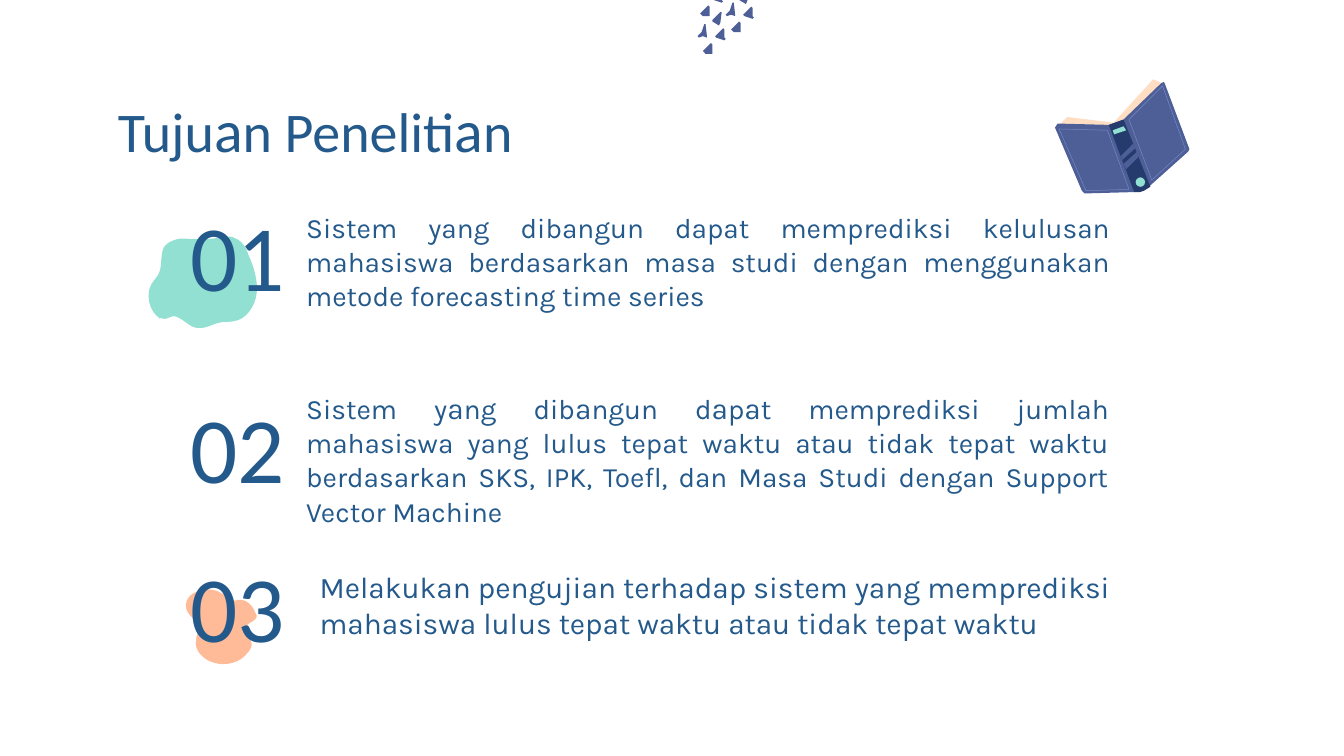
import pptx
import pptx.util
import pptx.dml.color
import pptx.enum.shapes
import pptx.enum.text

COLOURS = {"text": "24598B", "indigo": "4E5F97", "navy": "253B6E", "stitch": "758AC6",
           "mint": "91E0D2", "peach": "FFBB98", "paper": "FFDEC4"}
ALIGN = pptx.enum.text.PP_ALIGN
ANCHOR = pptx.enum.text.MSO_ANCHOR

# Content: runs are (text, size); boxes are left, top, width, height in inches
TITLE = [("Tuju", 30), ("a", 32), ("n Peneliti", 30), ("a", 32), ("n", 30)]
GOALS = [
    ("01", 1.37, (2.18, 1.47, 6.18, 0.94),
     [("Sistem yang dibangun dapat memprediksi kelulusan mahasiswa berdasarkan masa studi "
       "dengan menggunakan metode forecasting time series", 15)]),
    ("02", 2.8, (2.18, 2.8, 6.17, 0.94),
     [("Sistem y", 15), ("a", 16), ("ng dib", 15), ("a", 16), ("ngun d", 15), ("a", 16),
      ("p", 15), ("a", 16),
      ("t memprediksi jumlah mahasiswa yang lulus tepat waktu atau tidak tepat waktu "
       "berdasarkan SKS, IPK, Toefl, dan Masa Studi dengan Support Vector Machine ", 15),
      (" ", 16)]),
    ("03", 3.98, (2.28, 4.13, 6.08, 0.71),
     [("Melakukan pengujian terhadap sistem yang memprediksi mahasiswa lulus tepat waktu "
       "atau tidak tepat waktu", 16)]),
]

# Confetti: each outline with the places where it occurs
CONFETTI = [
    ([(0.07, 0.09), (0.06, 0), (0.05, 0), (0.03, 0.06), (0, 0.09), (0.01, 0.1),
      (0.04, 0.09), (0.07, 0.1)], [(5.19, 0.18), (5.4, 0.02)]),
    ([(0.07, 0.07), (0.07, 0.01), (0.06, 0), (0, 0.06), (0.01, 0.07), (0.07, 0.09),
      (0.08, 0.08)], [(5.32, 0.21), (5.53, 0.05), (5.3, -0.07)]),
    ([(0.07, 0.07), (0.07, 0.01), (0.06, 0), (0.05, 0.01), (0.02, 0.04), (0, 0.06),
      (0.02, 0.08), (0.06, 0.08), (0.07, 0.08)], [(5.23, 0.32), (5.44, 0.16), (5.21, 0.04)]),
    ([(0, 0.07), (0.05, 0.1), (0.06, 0.08), (0.07, 0), (0.06, 0), (0, 0.06)],
     [(5.3, 0.09), (5.5, -0.07)]),
]

# Book: fill, line, outline, from back to front
BOOK = [
    ("paper", None, [(8.28, 0.92), (8.58, 0.59), (8.65, 0.62), (8.38, 0.92)]),
    ("paper", None, [(8.35, 0.92), (7.94, 0.87), (7.87, 0.94), (8.31, 0.96)]),
    ("indigo", None, [(8.64, 0.62), (8.36, 0.89), (8.25, 0.93), (7.87, 0.92), (7.85, 0.95),
                      (8.05, 1.42), (8.07, 1.44), (8.44, 1.43), (8.51, 1.42), (8.56, 1.38),
                      (8.84, 1.13), (8.85, 1.11), (8.67, 0.63), (8.66, 0.61)]),
    (None, "stitch", [(8.08, 1.42), (8.4, 1.41), (8.24, 0.97), (7.88, 0.96)]),
    ("navy", None, [(8.36, 0.89), (8.25, 0.93), (8.44, 1.43), (8.48, 1.43), (8.51, 1.42),
                    (8.56, 1.39)]),
    ("mint", None, [(8.28, 0.97), (8.36, 0.94), (8.38, 0.97), (8.29, 1.0)]),
    ("indigo", None, [(8.35, 1.19), (8.45, 1.1), (8.43, 1.07), (8.34, 1.16)]),
    ("indigo", None, [(8.38, 1.26), (8.47, 1.17), (8.46, 1.13), (8.36, 1.22)]),
    (None, "stitch", [(8.57, 1.34), (8.82, 1.11), (8.65, 0.64), (8.4, 0.89)]),
]
BOOK_DOT = (8.45, 1.32, 0.07, 0.07)

# Blobs: a start, then cubic curves as two controls and an end
BLOBS = [
    ("mint", (1.19, 2.37), [
        (1.11, 2.32, 1.08, 2.19, 1.13, 2.11), (1.15, 2.08, 1.17, 2.06, 1.18, 2.04),
        (1.21, 1.98, 1.19, 1.9, 1.22, 1.84), (1.24, 1.81, 1.28, 1.79, 1.32, 1.78),
        (1.36, 1.77, 1.4, 1.78, 1.44, 1.78), (1.5, 1.78, 1.57, 1.78, 1.63, 1.77),
        (1.67, 1.77, 1.71, 1.75, 1.74, 1.77), (1.8, 1.79, 1.83, 1.84, 1.85, 1.9),
        (1.89, 1.99, 1.92, 2.09, 1.91, 2.18), (1.9, 2.28, 1.83, 2.38, 1.74, 2.39),
        (1.71, 2.4, 1.68, 2.39, 1.64, 2.4), (1.58, 2.41, 1.53, 2.45, 1.47, 2.44),
        (1.43, 2.44, 1.4, 2.41, 1.37, 2.39), (1.34, 2.37, 1.3, 2.34, 1.27, 2.36),
        (1.26, 2.36, 1.25, 2.37, 1.24, 2.37), (1.22, 2.38, 1.19, 2.36, 1.18, 2.37)]),
    ("peach", (1.87, 4.78), [
        (1.86, 4.73, 1.81, 4.69, 1.84, 4.65), (1.86, 4.63, 1.9, 4.62, 1.91, 4.59),
        (1.91, 4.58, 1.91, 4.57, 1.9, 4.56), (1.89, 4.53, 1.87, 4.5, 1.84, 4.48),
        (1.81, 4.46, 1.78, 4.46, 1.75, 4.47), (1.7, 4.45, 1.67, 4.42, 1.62, 4.4),
        (1.57, 4.38, 1.5, 4.38, 1.45, 4.41), (1.4, 4.43, 1.37, 4.49, 1.39, 4.54),
        (1.41, 4.59, 1.47, 4.62, 1.48, 4.67), (1.48, 4.7, 1.46, 4.73, 1.46, 4.76),
        (1.44, 4.83, 1.51, 4.91, 1.59, 4.93), (1.68, 4.96, 1.79, 4.93, 1.84, 4.86),
        (1.86, 4.84, 1.88, 4.81, 1.87, 4.78)]),
]


def length(inches):
    return pptx.util.Cm(round(inches * 2.54, 4))


def colour(name):
    return pptx.dml.color.RGBColor.from_string(COLOURS[name])


def smooth(start, curves, steps=8):
    """Points along a chain of cubic curves."""
    points = [start]
    for ax, ay, bx, by, cx, cy in curves:
        first = points[-1]
        for step in range(1, steps + 1):
            t = step / steps
            u = 1 - t
            points.append(tuple(
                u ** 3 * p + 3 * u * u * t * a + 3 * u * t * t * b + t ** 3 * c
                for p, a, b, c in zip(first, (ax, ay), (bx, by), (cx, cy))))
    return points


def paint(shape, fill, line=None):
    shape.shadow.inherit = False
    if fill:
        shape.fill.solid()
        shape.fill.fore_color.rgb = colour(fill)
    else:
        shape.fill.background()
    if line:
        shape.line.color.rgb = colour(line)
        shape.line.width = pptx.util.Pt(0.25)
    else:
        shape.line.fill.background()


def outline(shapes, points, fill, line=None):
    points = [(length(x), length(y)) for x, y in points]
    builder = shapes.build_freeform(*points[0], scale=1.0)
    builder.add_line_segments(points[1:], close=True)
    paint(builder.convert_to_shape(), fill, line)


def write(place, runs, font, align=ALIGN.LEFT, anchor=ANCHOR.TOP):
    box = page.shapes.add_textbox(*map(length, place))
    frame = box.text_frame
    frame.word_wrap = True
    frame.vertical_anchor = anchor
    frame.margin_left = frame.margin_right = length(0.1)
    frame.margin_top = frame.margin_bottom = length(0.1)
    para = frame.paragraphs[0]
    para.alignment = align
    for text, size in runs:
        span = para.add_run()
        span.text = text
        span.font.name = font
        span.font.size = pptx.util.Pt(size)
        span.font.color.rgb = colour("text")


deck = pptx.Presentation()
deck.slide_width = length(10)
deck.slide_height = deck.slide_width * 9 // 16
page = deck.slides.add_slide(deck.slide_layouts[6])

# Decorations
confetti = page.shapes.add_group_shape()
for points, places in CONFETTI:
    for left, top in places:
        outline(confetti.shapes, [(left + x, top + y) for x, y in points], "indigo")

book = page.shapes.add_group_shape()
for fill, line, points in BOOK:
    outline(book.shapes, points, fill, line)
paint(book.shapes.add_shape(pptx.enum.shapes.MSO_SHAPE.OVAL, *map(length, BOOK_DOT)), "mint")

for fill, start, curves in BLOBS:
    outline(page.shapes, smooth(start, curves), fill)

# Title and numbered goals
write((0.78, 0.59, 8.44, 0.52), TITLE, "Calibri")
for number, top, place, runs in GOALS:
    write((0.78, top, 1.44, 1.04), [(number, 50)], "Calibri", ALIGN.RIGHT, ANCHOR.BOTTOM)
    write(place, runs, "Karla", ALIGN.JUSTIFY)

deck.save("out.pptx")
